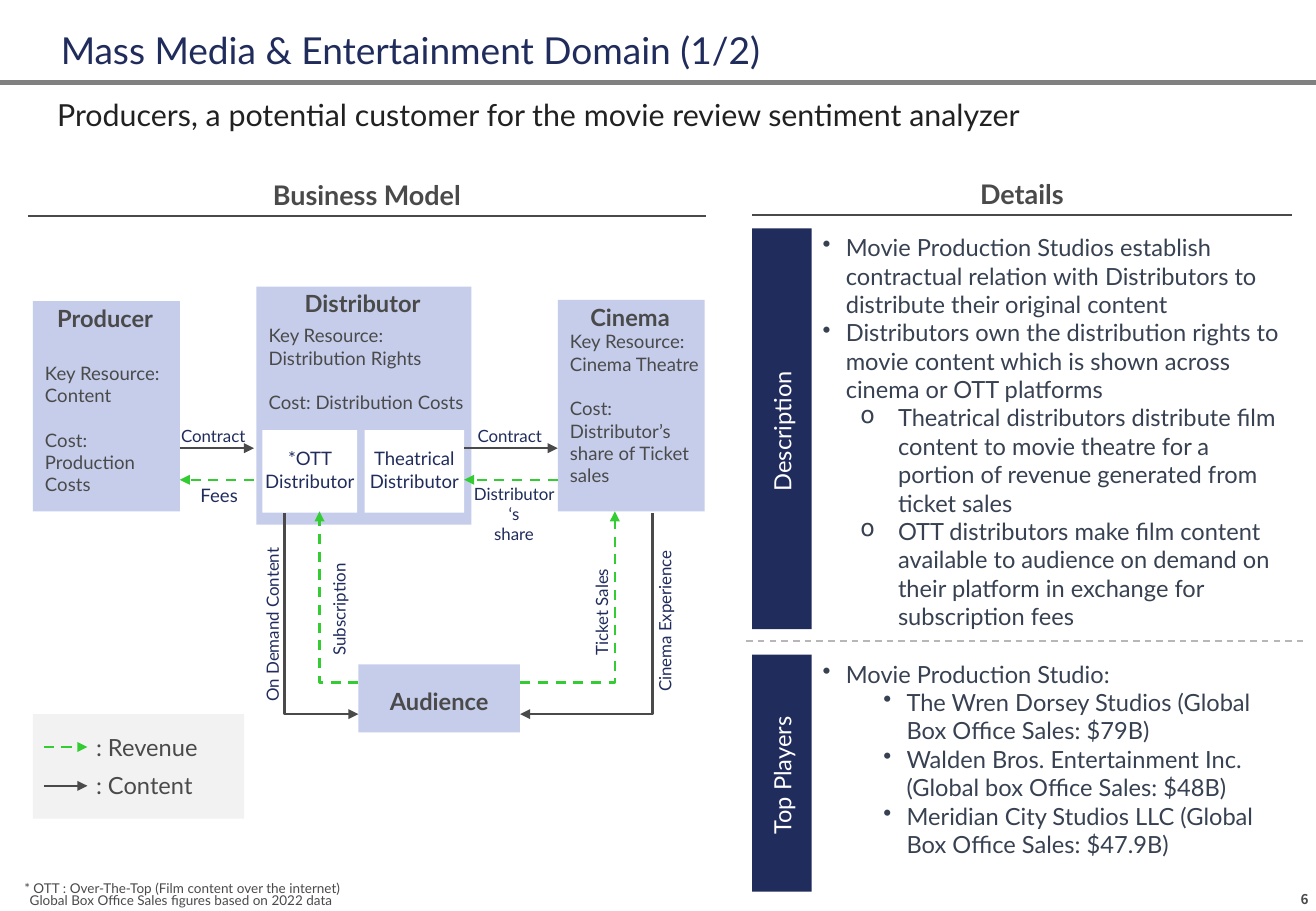
from dataclasses import dataclass

import lxml.etree
import pptx
import pptx.dml.color
import pptx.enum.dml
import pptx.enum.shapes
import pptx.enum.text
import pptx.oxml.ns
import pptx.util

ALIGN = pptx.enum.text.PP_ALIGN
ANCHOR = pptx.enum.text.MSO_ANCHOR
CONNECTOR = pptx.enum.shapes.MSO_CONNECTOR
CELL = pptx.util.Inches(0.1)  # one column or row of the slide grid
COLUMNS, ROWS = 108.3, 75


@dataclass(frozen=True)
class Theme:
    font: str = "Lato"
    number_font: str = "Noto Sans CJK JP"
    navy: str = "202C5C"
    gray: str = "4A4A4A"
    subtitle: str = "212121"
    body: str = "374151"
    card: str = "C6CDEB"
    legend: str = "F2F2F2"
    white: str = "FFFFFF"
    revenue: str = "33CC33"
    rule: str = "808080"
    divider: str = "B7B7B7"
    title_size: float = 22
    subtitle_size: float = 18
    heading_size: float = 16
    body_size: float = 14
    fact_size: float = 11
    label_size: float = 10
    note_size: float = 8


THEME = Theme()


@dataclass(frozen=True)
class Box:
    """A rectangle measured in grid columns and rows."""
    left: float
    top: float
    width: float
    height: float

    def inside(self, left, top, width, height):
        return Box(self.left + left, self.top + top, width, height)

    def point(self, column, row):
        return self.left + column, self.top + row

    def lengths(self):
        return [round(value * CELL) for value in (self.left, self.top, self.width, self.height)]


@dataclass(frozen=True)
class Bullet:
    mark: str
    indent: float
    hanging: float
    level: int = 0


MAIN = Bullet("•", 1.9, 1.9)
CIRCLE = Bullet("o", 6.2, 3.1, 1)
PLAYER = Bullet("•", 6.9, 1.9, 1)


def color(value):
    return pptx.dml.color.RGBColor.from_string(value)


def write_text(shape, text, *, size=THEME.body_size, ink=THEME.gray, bold=False, font=THEME.font,
               align=ALIGN.LEFT, anchor=ANCHOR.TOP, insets=(0.4, 0.4, 0.4, 0), spacing=None, gap=0):
    """Write one paragraph per line of text and return the paragraphs."""
    frame = shape.text_frame
    frame.word_wrap = True
    frame.auto_size = pptx.enum.text.MSO_AUTO_SIZE.NONE
    frame.vertical_anchor = anchor
    frame.margin_left, frame.margin_top, frame.margin_right, frame.margin_bottom = [
        round(inset * CELL) for inset in insets]
    frame.text = text
    for index, paragraph in enumerate(frame.paragraphs):
        paragraph.alignment = align
        if spacing:
            paragraph.line_spacing = spacing
        if index and gap:
            paragraph.space_before = pptx.util.Pt(gap)
        for run in paragraph.runs:
            run.font.name = font
            run.font.size = pptx.util.Pt(size)
            run.font.bold = bold
            run.font.color.rgb = color(ink)
    return frame.paragraphs


def add_text(slide, box, text, rotation=0, **text_format):
    shape = slide.shapes.add_textbox(*box.lengths())
    shape.rotation = rotation
    return write_text(shape, text, **text_format)


def add_panel(slide, box, fill):
    shape = slide.shapes.add_shape(pptx.enum.shapes.MSO_SHAPE.RECTANGLE, *box.lengths())
    shape.shadow.inherit = False
    shape.fill.solid()
    shape.fill.fore_color.rgb = color(fill)
    shape.line.fill.background()
    return shape


def add_line(slide, start, end, ink=THEME.gray, width=1.0, dashed=False, arrow=None, bent=False):
    """Draw a line; arrow is headEnd or tailEnd, and a bent line leaves its start horizontally."""
    ends = [round(value * CELL) for value in (*start, *end)]
    line = slide.shapes.add_connector(CONNECTOR.ELBOW if bent else CONNECTOR.STRAIGHT, *ends)
    line.line.color.rgb = color(ink)
    line.line.width = pptx.util.Pt(width)
    if dashed:
        line.line.dash_style = pptx.enum.dml.MSO_LINE.DASH
    properties = line._element.spPr
    if bent:
        properties.find(pptx.oxml.ns.qn("a:prstGeom")).set("prst", "bentConnector2")
    if arrow:
        outline = properties.find(pptx.oxml.ns.qn("a:ln"))
        lxml.etree.SubElement(outline, pptx.oxml.ns.qn("a:" + arrow), type="triangle")
    lxml.etree.SubElement(properties, pptx.oxml.ns.qn("a:effectLst"))


def add_flow(slide, start, end, revenue, arrow="tailEnd", bent=False):
    add_line(slide, start, end, THEME.revenue if revenue else THEME.gray, 1.5, revenue, arrow, bent)


def indent(paragraph, left, first=0):
    properties = paragraph._p.get_or_add_pPr()
    properties.set("marL", str(round(left * CELL)))
    properties.set("indent", str(round(first * CELL)))
    return properties


def add_header(slide, box):
    add_line(slide, box.point(0, 6.8), box.point(box.width, 6.8), THEME.rule, 3)
    title = slide.shapes.title
    title.left, title.top, title.width, title.height = box.inside(5, 1.7, 98.3, 4.3).lengths()
    write_text(title, "Mass Media & Entertainment Domain (1/2)", size=THEME.title_size,
               ink=THEME.navy, anchor=ANCHOR.BOTTOM, insets=(0, 0, 0, 0), spacing=0.9)
    add_text(slide, box.inside(4.7, 7.5, 101, 3.4),
             "Producers, a potential customer for the movie review sentiment analyzer",
             size=THEME.subtitle_size, ink=THEME.subtitle, insets=(0, 0.4, 0, 0))


def add_heading(slide, box, text):
    """Centre a heading above a rule along the bottom of the box."""
    add_text(slide, box, text, size=THEME.heading_size, bold=True, align=ALIGN.CENTER,
             anchor=ANCHOR.BOTTOM, insets=(0.4, 0.4, 0.4, 0.4))
    add_line(slide, box.point(0, box.height), box.point(box.width, box.height))


def add_role(slide, box, name, facts, facts_top):
    write_text(add_panel(slide, box, THEME.card), name, bold=True, align=ALIGN.CENTER,
               insets=(0.2, 0.2, 0.4, 0))
    add_text(slide, box.inside(0.6, facts_top, box.width - 0.6, box.height - facts_top), facts,
             size=THEME.fact_size, gap=13.2)


def add_legend(slide, box):
    add_panel(slide, box, THEME.legend)
    for row, text, revenue in ((2.7, ": Revenue", True), (5.9, ": Content", False)):
        add_flow(slide, box.point(0.9, row), box.point(4.5, row), revenue)
        add_text(slide, box.inside(4.8, row - 1.6, 10.5, 2.8), text)


def add_business_model(slide, box):
    add_role(slide, box.inside(0.4, 10.8, 12.1, 17.3), "Producer",
             "Key Resource: Content\nCost: Production Costs", 4.6)
    add_role(slide, box.inside(18.8, 9.6, 17.7, 19.6), "Distributor",
             "Key Resource:\vDistribution Rights\nCost: Distribution Costs", 2.7)
    add_role(slide, box.inside(43.6, 10.7, 12.1, 17.4), "Cinema",
             "Key Resource: Cinema Theatre\nCost: Distributor’s share of Ticket sales", 2.1)
    for left, width, text in ((19.3, 7.8, "*OTT Distributor"), (27.7, 8.2, "Theatrical Distributor")):
        write_text(add_panel(slide, box.inside(left, 21.4, width, 6.8), THEME.white), text,
                   size=THEME.fact_size, ink=THEME.navy, align=ALIGN.CENTER,
                   anchor=ANCHOR.MIDDLE, insets=(0, 0, 0, 0.3))
    write_text(add_panel(slide, box.inside(27.2, 40.7, 13.3, 5.6), THEME.card), "Audience",
               bold=True, align=ALIGN.CENTER, anchor=ANCHOR.MIDDLE)

    for left, right in ((12.5, 18.6), (35.9, 43.6)):
        add_flow(slide, box.point(left, 22.9), box.point(right, 22.9), False)
        add_flow(slide, box.point(right, 25.5), box.point(left, 25.5), True)
    for side, content, revenue in ((27.2, 21.1, 24), (40.5, 51.4, 48.3)):
        add_flow(slide, box.point(side, 44.8), box.point(content, 28.2), False, "headEnd", True)
        add_flow(slide, box.point(side, 42.2), box.point(revenue, 28.1), True, bent=True)

    label = {"size": THEME.label_size, "ink": THEME.navy}
    for left in (12.2, 36.6):
        add_text(slide, box.inside(left, 20.6, 8.2, 2.1), "Contract", **label)
    add_text(slide, box.inside(13.8, 25.4, 4.6, 2.2), "Fees", size=THEME.fact_size, ink=THEME.navy)
    add_text(slide, box.inside(35.9, 25.4, 8.2, 5.4), "Distributor ‘s\nshare", align=ALIGN.CENTER, **label)
    for left, top, width, text in ((20.8, 34.7, 9.2, "Subscription"), (42.4, 34.7, 9.2, "Ticket Sales"),
                                   (12.4, 35.6, 15, "On Demand Content"),
                                   (45.8, 35.9, 12.8, "Cinema Experience")):
        add_text(slide, box.inside(left, top, width, 2.1), text, rotation=270, **label)
    add_legend(slide, box.inside(0.4, 44.8, 17.4, 8.6))


def add_topic(slide, box, name, items):
    """Place a vertical name bar with a bulleted list to its right."""
    bar = add_panel(slide, box.inside(0, 0, 4.9, box.height), THEME.navy)
    write_text(bar, name, ink=THEME.white, align=ALIGN.CENTER, anchor=ANCHOR.MIDDLE)
    bar.text_frame._txBody.bodyPr.set("vert", "vert270")
    paragraphs = add_text(slide, box.inside(5.4, 0, 38.8, box.height),
                          "\n".join(text for bullet, text in items), ink=THEME.body)
    for paragraph, (bullet, text) in zip(paragraphs, items):
        paragraph.level = bullet.level
        properties = indent(paragraph, bullet.indent, -bullet.hanging)
        lxml.etree.SubElement(properties, pptx.oxml.ns.qn("a:buChar"), char=bullet.mark)


def add_details(slide, box):
    add_topic(slide, box.inside(0, 4.4, box.width, 33), "Description", [
        (MAIN, "Movie Production Studios establish contractual relation with Distributors to "
               "distribute their original content"),
        (MAIN, "Distributors own the distribution rights to movie content which is shown across "
               "cinema or OTT platforms"),
        (CIRCLE, "Theatrical distributors distribute film content to movie theatre for a portion of "
                 "revenue generated from ticket sales"),
        (CIRCLE, "OTT distributors make film content available to audience on demand on their "
                 "platform in exchange for subscription fees")])
    add_line(slide, box.point(-0.5, 38.4), box.point(45.3, 38.4), THEME.divider, dashed=True)
    add_topic(slide, box.inside(0, 39.5, box.width, 19.5), "Top Players", [
        (MAIN, "Movie Production Studio:"),
        (PLAYER, "The Wren Dorsey Studios (Global Box Office Sales: $79B)"),
        (PLAYER, "Walden Bros. Entertainment Inc. (Global box Office Sales: $48B)"),
        (PLAYER, "Meridian City Studios LLC (Global Box Office Sales: $47.9B)")])


def add_footer(slide, box):
    notes = add_text(slide, box.inside(1.2, 0, 45.7, 3.7),
                     "* OTT : Over-The-Top (Film content over the internet)\n"
                     "Global Box Office Sales figures based on 2022 data",
                     size=THEME.note_size, anchor=ANCHOR.BOTTOM, insets=(0.8,) * 4, spacing=0.8)
    indent(notes[1], 0.45)
    add_text(slide, box.inside(104.3, 1.2, 4.2, 2), "6", size=THEME.note_size, bold=True,
             font=THEME.number_font, align=ALIGN.RIGHT, anchor=ANCHOR.BOTTOM,
             insets=(0.8, 0.4, 0.8, 0.4), spacing=0.9)


def main():
    presentation = pptx.Presentation()
    presentation.slide_width = round(COLUMNS * CELL)
    presentation.slide_height = ROWS * CELL
    slide = presentation.slides.add_slide(presentation.slide_layouts[5])
    add_header(slide, Box(0, 0, COLUMNS, 12))
    add_heading(slide, Box(2.3, 14.3, 55.8, 3.5), "Business Model")
    add_business_model(slide, Box(2.3, 14, 55.8, 54))
    add_heading(slide, Box(61.9, 14.4, 44.4, 3.3), "Details")
    add_details(slide, Box(61.9, 14.4, 44.4, 59))
    add_footer(slide, Box(0, 71.9, COLUMNS, 3.1))
    presentation.save("out.pptx")


if __name__ == "__main__":
    main()
